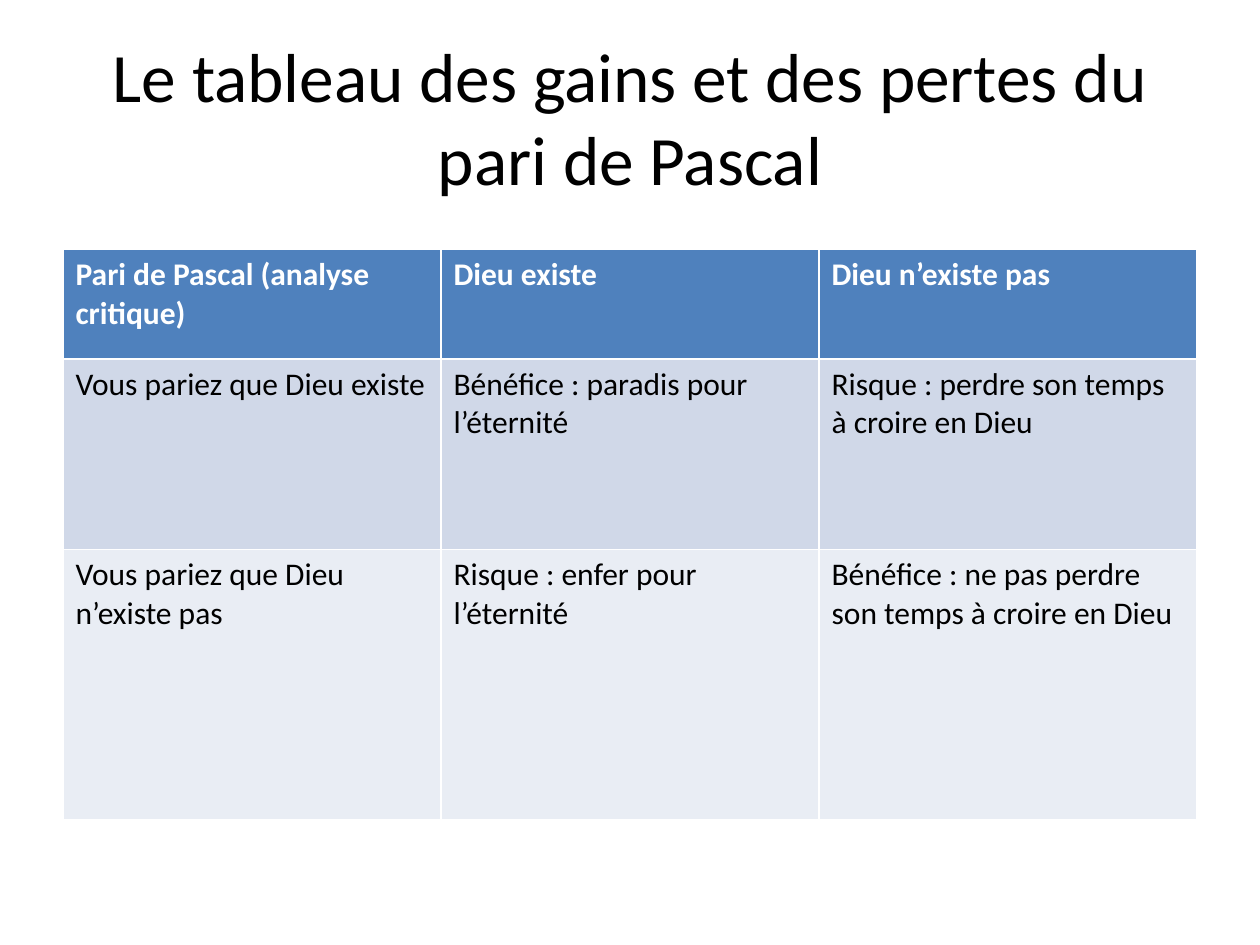
from pptx import Presentation
from pptx.dml.color import RGBColor
from pptx.enum.text import MSO_ANCHOR, MSO_AUTO_SIZE, PP_ALIGN
from pptx.util import Pt

CENTER = PP_ALIGN.CENTER
MIDDLE = MSO_ANCHOR.MIDDLE
NO_AUTOFIT = MSO_AUTO_SIZE.NONE
TITLE_ONLY = 5

COLORS = {
    "text": "000000",
    "header_text": "FFFFFF",
    "header": "4F81BD",
    "band_dark": "D0D8E8",
    "band_light": "E9EDF4",
}


class SlideBuilder:
    """Holds the style and the current slide."""

    font_name = "Calibri"
    title_size = 39.6
    table_size = 18

    def __init__(self, slide):
        self.slide = slide

    def color(self, name):
        return RGBColor.from_string(COLORS[name])

    def format_paragraph(self, para, size, color, bold=False):
        font = para.font
        font.name = self.font_name
        font.size = Pt(size)
        font.bold = bold
        font.color.rgb = self.color(color)

    def title(self, text, left, top, width, height):
        box = self.slide.shapes.title
        box.left, box.top = Pt(left), Pt(top)
        box.width, box.height = Pt(width), Pt(height)
        frame = box.text_frame
        frame.text = text
        frame.word_wrap = True
        frame.auto_size = NO_AUTOFIT
        frame.vertical_anchor = MIDDLE
        para = frame.paragraphs[0]
        para.alignment = CENTER
        self.format_paragraph(para, self.title_size, "text")

    def table(self, rows, left, top, width, row_heights):
        # The default table style supplies the white cell borders
        table = self.slide.shapes.add_table(
            len(rows), len(rows[0]), Pt(left), Pt(top), Pt(width), Pt(sum(row_heights))
        ).table
        for row, height in zip(table.rows, row_heights):
            row.height = Pt(height)
        for row_index, texts in enumerate(rows):
            is_header = row_index == 0
            band = "band_dark" if row_index % 2 else "band_light"
            for column_index, text in enumerate(texts):
                cell = table.cell(row_index, column_index)
                cell.text = text
                cell.fill.solid()
                cell.fill.fore_color.rgb = self.color("header" if is_header else band)
                self.format_paragraph(
                    cell.text_frame.paragraphs[0],
                    self.table_size,
                    "header_text" if is_header else "text",
                    is_header,
                )


def main():
    deck = Presentation()
    deck.slide_width, deck.slide_height = Pt(720), Pt(540)
    page = SlideBuilder(deck.slides.add_slide(deck.slide_layouts[TITLE_ONLY]))

    # Title
    page.title("Le tableau des gains et des pertes du pari de Pascal", 36, 21.6, 648, 90)

    # Gains and losses
    wager_rows = [
        ["Pari de Pascal (analyse critique)", "Dieu existe", "Dieu n’existe pas"],
        [
            "Vous pariez que Dieu existe",
            "Bénéfice : paradis pour l’éternité",
            "Risque : perdre son temps à croire en Dieu",
        ],
        [
            "Vous pariez que Dieu n’existe pas",
            "Risque : enfer pour l’éternité",
            "Bénéfice : ne pas perdre son temps à croire en Dieu",
        ],
    ]
    page.table(wager_rows, 36, 142.6, 648, [62.6, 108.7, 154.8])

    deck.save("out.pptx")


if __name__ == "__main__":
    main()
